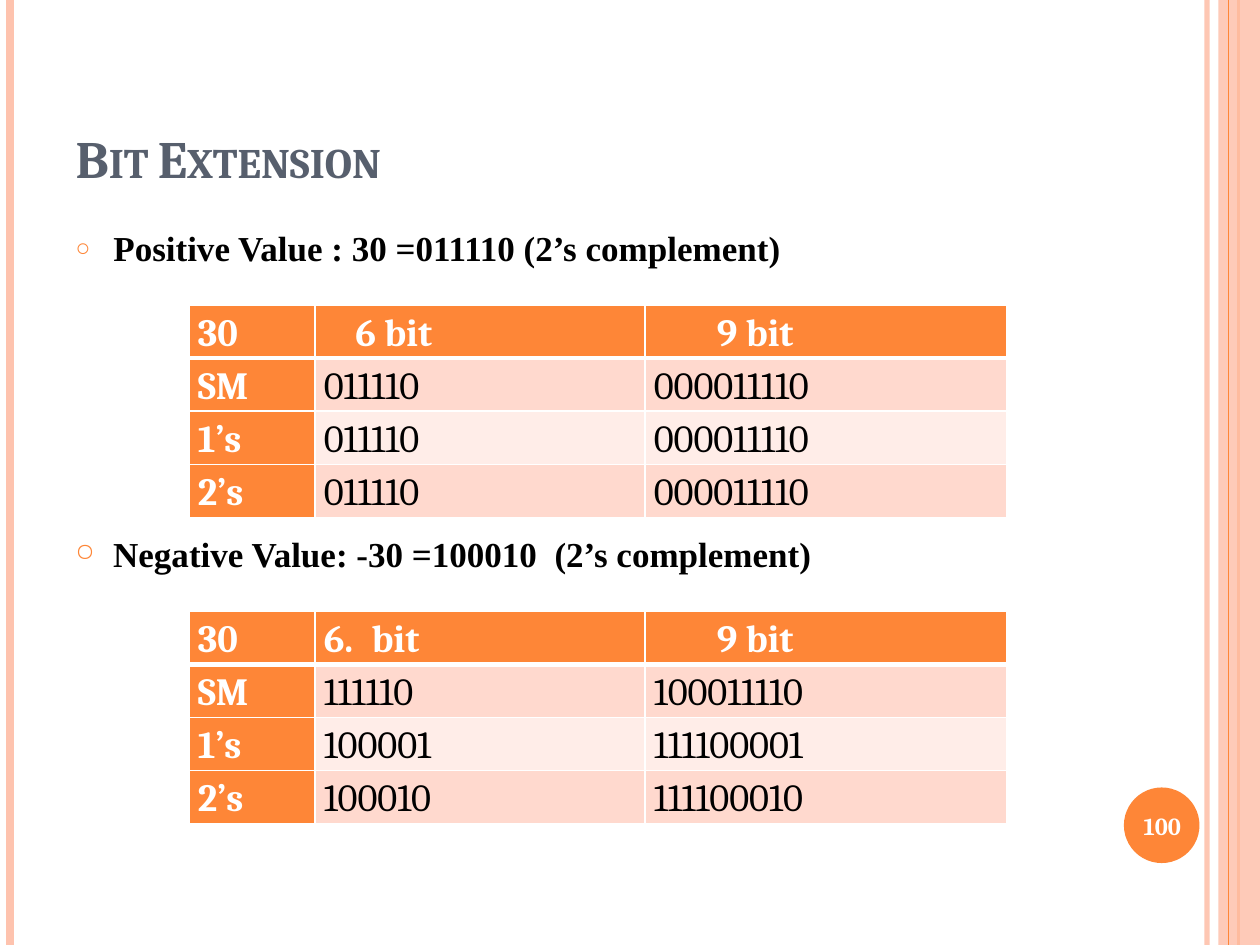
from dataclasses import dataclass

from lxml import etree
from pptx import Presentation
from pptx import util as u
from pptx.dml.color import RGBColor
from pptx.enum import shapes, text
from pptx.oxml import ns

COLS, ROWS = 100, 75
CELL = u.Inches(0.1)

ORANGE = RGBColor(0xFE, 0x86, 0x37)
PEACH = RGBColor(0xFE, 0xC3, 0xAE)
BAND_DARK = RGBColor(0xFF, 0xD9, 0xCE)
BAND_LIGHT = RGBColor(0xFF, 0xED, 0xE8)
SLATE = RGBColor(0x57, 0x5F, 0x6D)
WHITE = RGBColor(0xFF, 0xFF, 0xFF)
BLACK = RGBColor(0, 0, 0)

SERIF = "Cambria"
ROMAN = "Times New Roman"


@dataclass
class Stripe:
    col: float
    width: float
    color: RGBColor
    alpha: int = 100


@dataclass
class Header:
    label: str
    indent: float = 0
    hanging: float = 0
    number: int = 0


@dataclass
class BitTable:
    row: float
    headers: list[Header]
    body: list[tuple[str, str, str]]


STRIPES_BELOW = [Stripe(95.8, 3, PEACH, 93), Stripe(0.8, 4.5, PEACH), Stripe(98.3, 1.5, ORANGE)]
STRIPE_ABOVE = Stripe(97.5, 0.75, ORANGE)
TABLE_COL = 15
TABLE_WIDTHS = [10, 26.2, 28.7]
TABLE_ROW_HEIGHT = 4
NINE_BIT = Header("9 bit", 5)
TABLES = [
    BitTable(24.2, [Header("30"), Header("6 bit", 2.5), NINE_BIT],
             [("SM", "011110", "000011110"),
              ("1’s", "011110", "000011110"),
              ("2’s", "011110", "000011110")]),
    BitTable(48.5, [Header("30"), Header("bit", 3.8, -3.8, 6), NINE_BIT],
             [("SM", "111110", "100011110"),
              ("1’s", "100001", "111100001"),
              ("2’s", "100010", "111100010")]),
]


def grid(*cells: float) -> list[int]:
    return [u.Emu(round(c * CELL)) for c in cells]


def place(sp, *cells: float) -> None:
    sp.left, sp.top, sp.width, sp.height = grid(*cells)


def add(parent, tag: str, **attrs):
    return etree.SubElement(parent, ns.qn(tag), attrs)


def set_alpha(sp, percent: int) -> None:
    if percent < 100:
        color = next(sp._element.spPr.iter(ns.qn("a:srgbClr")))
        add(color, "a:alpha", val=str(percent * 1000))


def add_text(p, words: str, size: float, color: RGBColor, font: str = SERIF, bold: bool = True):
    r = p.add_run()
    r.text = words
    r.font.size, r.font.name, r.font.bold = u.Pt(size), font, bold
    r.font.color.rgb = color
    return r


def add_stripe(s, stripe: Stripe) -> None:
    x, bottom = grid(stripe.col, ROWS)
    sp = s.shapes.add_connector(shapes.MSO_CONNECTOR.STRAIGHT, x, 0, x, bottom)
    sp.line.color.rgb = stripe.color
    sp.line.width = u.Pt(stripe.width)
    set_alpha(sp, stripe.alpha)
    add(sp._element.spPr, "a:effectLst")


def add_panel(s, kind, color: RGBColor, alpha: int, *cells: float) -> None:
    sp = s.shapes.add_shape(kind, *grid(*cells))
    sp.shadow.inherit = False
    sp.fill.solid()
    sp.fill.fore_color.rgb = color
    sp.line.fill.background()
    set_alpha(sp, alpha)


def set_indent(p, left: float, first: float):
    pPr = p._p.get_or_add_pPr()
    for key, value in zip(("marL", "indent"), grid(left, first)):
        pPr.set(key, str(value))
    return pPr


def add_bullet(sp, words: str) -> None:
    tf = sp.text_frame
    tf.word_wrap = True
    p = tf.paragraphs[0]
    pPr = set_indent(p, 3, -3)
    add(add(pPr, "a:buClr"), "a:srgbClr", val=str(ORANGE))
    add(pPr, "a:buSzPct", val="70000")
    add(pPr, "a:buChar", char="○")
    p.space_before = u.Pt(0)
    add_text(p, words, 20, BLACK, ROMAN)


def set_borders(cell, top: float, bottom: float) -> None:
    tcPr = cell._tc.get_or_add_tcPr()
    for side, width in (("L", 1), ("R", 1), ("T", top), ("B", bottom)):
        ln = add(tcPr, f"a:ln{side}", w=str(u.Pt(width)))
        add(add(ln, "a:solidFill"), "a:srgbClr", val=str(WHITE))


def fill_cell(cell, words: str, head: Header, fill: RGBColor, strong: bool) -> None:
    cell.margin_left, cell.margin_right = grid(0.7, 0.7)
    cell.margin_top = cell.margin_bottom = 0
    cell.fill.solid()
    cell.fill.fore_color.rgb = fill
    p = cell.text_frame.paragraphs[0]
    pPr = set_indent(p, head.indent, head.hanging)
    if head.number:
        add(pPr, "a:buFont", typeface="+mj-lt")
        add(pPr, "a:buAutoNum", type="arabicPeriod", startAt=str(head.number))
    p.line_spacing = 1.15
    add_text(p, words, 22, WHITE if strong else BLACK, bold=strong)


def add_bit_table(s, spec_table: BitTable) -> None:
    count = len(spec_table.body) + 1
    frame = s.shapes.add_table(count, len(TABLE_WIDTHS), *grid(
        TABLE_COL, spec_table.row, sum(TABLE_WIDTHS), count * TABLE_ROW_HEIGHT))
    table = frame.table
    table.first_col = True
    for column, width in zip(table.columns, grid(*TABLE_WIDTHS)):
        column.width = width
    plain = [Header(words) for words in ()]
    lines = [spec_table.headers] + [[Header(words) for words in line] for line in spec_table.body]
    for i, line in enumerate(lines):
        for j, head in enumerate(line):
            cell = table.cell(i, j)
            strong = i == 0 or j == 0
            band = BAND_DARK if i % 2 else BAND_LIGHT
            set_borders(cell, 3 if i == 1 else 1, 3 if i == 0 else 1)
            fill_cell(cell, head.label, head, ORANGE if strong else band, strong)


def main() -> None:
    prs = Presentation()
    prs.slide_width, prs.slide_height = grid(COLS, ROWS)
    s = prs.slides.add_slide(prs.slide_layouts[1])

    for stripe in STRIPES_BELOW:
        add_stripe(s, stripe)
    add_panel(s, shapes.MSO_SHAPE.RECTANGLE, PEACH, 87, 96.7, 0, 3.3, ROWS)
    add_stripe(s, STRIPE_ABOVE)
    add_panel(s, shapes.MSO_SHAPE.OVAL, ORANGE, 100, 89.2, 62.5, 6, 6)

    title, body = s.placeholders
    place(title, 5, 3, 81.7, 12.5)
    tf = title.text_frame
    tf.vertical_anchor = text.MSO_ANCHOR.BOTTOM
    p = tf.paragraphs[0]
    p.alignment = text.PP_ALIGN.LEFT
    r = add_text(p, "Bit Extension", 30, SLATE)
    r._r.get_or_add_rPr().set("cap", "small")

    place(body, 5, 17.5, 81.7, 5)
    add_bullet(body, "Positive Value : 30 =011110 (2’s complement)")
    negative = s.shapes.add_textbox(*grid(5, 41.8, 81.7, 5))
    add_bullet(negative, "Negative Value: -30 =100010  (2’s complement)")

    for bit_table in TABLES:
        add_bit_table(s, bit_table)

    tf = s.shapes.add_textbox(*grid(88.9, 62.7, 6.7, 5.7)).text_frame
    tf.word_wrap = True
    tf.vertical_anchor = text.MSO_ANCHOR.MIDDLE
    p = tf.paragraphs[0]
    p.alignment = text.PP_ALIGN.CENTER
    add_text(p, "100", 14, WHITE)

    prs.save("out.pptx")


if __name__ == "__main__":
    main()
